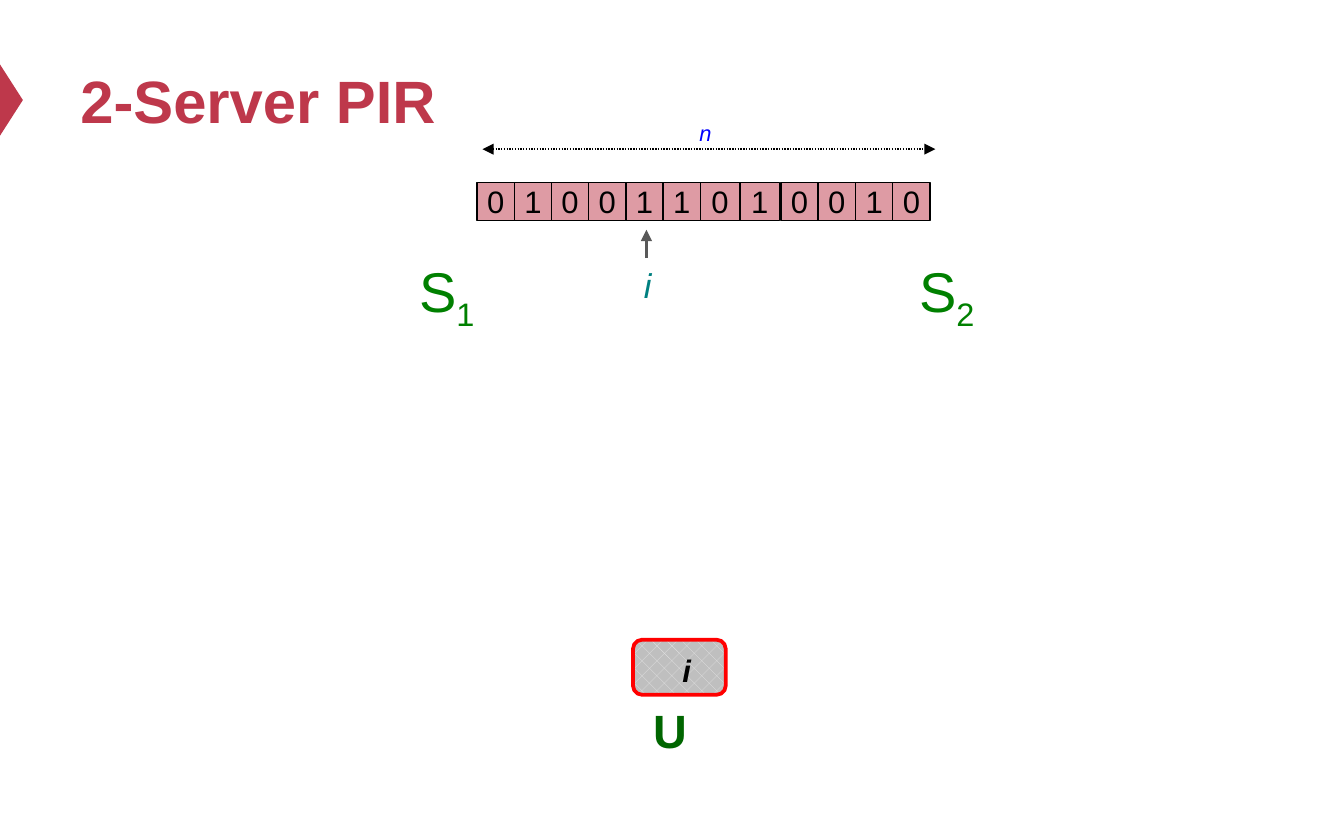
from lxml import etree
from pptx import Presentation
from pptx.dml.color import RGBColor
from pptx.enum import dml, shapes, text
from pptx.oxml.ns import qn
from pptx.util import Inches, Pt

CRIMSON = RGBColor(0xBE, 0x38, 0x4B)
BLACK = RGBColor(0x00, 0x00, 0x00)
SERVER_GREEN = RGBColor(0x00, 0x80, 0x00)
USER_GREEN = RGBColor(0x00, 0x66, 0x00)
TEAL = RGBColor(0x00, 0x80, 0x80)
BLUE = RGBColor(0x00, 0x00, 0xFF)
RED = RGBColor(0xFF, 0x00, 0x00)
DARK_GREY = RGBColor(0x59, 0x59, 0x59)
GREY = RGBColor(0xBF, 0xBF, 0xBF)
PALE_GREY = RGBColor(0xE5, 0xE5, 0xE5)

LEFT, CENTER, RIGHT = text.PP_ALIGN.LEFT, text.PP_ALIGN.CENTER, text.PP_ALIGN.RIGHT

TITLE = "2-Server PIR"
# left edge, right edge, bits sharing that span equally
DATABASE = [(3.55, 5.21, "010011"), (5.21, 5.8, "01"), (5.81, 6.92, "0010")]
DATABASE_TOP, BIT_HEIGHT = 1.36, 0.28
# server number, left edge
SERVERS = [("1", 2.43), ("2", 6.15)]
# wording, box, alignment, size, colour, bold, italic
LABELS = [
    ("n", (4.85, 0.84, 0.8, 0.28), CENTER, 11.7, BLUE, False, True),
    ("i", (4.64, 1.92, 0.36, 0.36), CENTER, 18.4, TEAL, False, True),
    ("i", (4.81, 4.8, 0.6, 0.41), CENTER, 16.6, BLACK, True, True),
    ("U", (4.52, 5.17, 0.64, 0.43), RIGHT, 25, USER_GREEN, True, False),
]

prs = Presentation()
prs.slide_width, prs.slide_height = Inches(10), Inches(6.25)
slide = prs.slides.add_slide(prs.slide_layouts[6])


def style(paragraph, align, size, color, bold=False, italic=False):
    paragraph.alignment = align
    font = paragraph.font
    font.name, font.size, font.bold, font.italic = "Arial", Pt(size), bold, italic
    font.color.rgb = color


def add_label(wording, box, align, size, color, bold=False, italic=False, inset=0.05):
    frame = slide.shapes.add_textbox(*map(Inches, box)).text_frame
    frame.word_wrap = True
    frame.margin_left = frame.margin_right = Inches(inset)
    frame.margin_top = frame.margin_bottom = Inches(0.05)
    paragraph = frame.paragraphs[0]
    paragraph.add_run().text = wording
    style(paragraph, align, size, color, bold, italic)
    return frame


def add_block(preset, box):
    block = slide.shapes.add_shape(preset, *map(Inches, box))
    block.shadow.inherit = False
    return block


def add_arrow(start, end, color, width, ends, dash=None):
    arrow = slide.shapes.add_connector(
        shapes.MSO_CONNECTOR.STRAIGHT, *map(Inches, start + end))
    arrow.line.color.rgb, arrow.line.width = color, Pt(width)
    if dash:
        arrow.line.dash_style = dash
    for tag in ends:
        etree.SubElement(arrow.line._get_or_add_ln(), qn(tag), type="triangle")
    etree.SubElement(arrow._element.spPr, qn("a:effectLst"))


def add_bit(bit, left, width):
    cell = add_block(shapes.MSO_SHAPE.RECTANGLE, (left, DATABASE_TOP, width, BIT_HEIGHT))
    cell.fill.solid()
    cell.fill.fore_color.rgb = CRIMSON
    tint = cell._element.spPr.find(qn("a:solidFill"))[0]
    etree.SubElement(tint, qn("a:alpha"), val="50000")
    cell.line.color.rgb, cell.line.width = BLACK, Pt(0.75)
    frame = cell.text_frame
    frame.word_wrap = False
    frame.vertical_anchor = text.MSO_ANCHOR.MIDDLE
    frame.text = bit
    style(frame.paragraphs[0], CENTER, 16.6, BLACK)


marker = add_block(shapes.MSO_SHAPE.ISOSCELES_TRIANGLE, (-0.18, 0.66, 0.53, 0.17))
marker.rotation = 90
marker.fill.solid()
marker.fill.fore_color.rgb = CRIMSON
marker.line.fill.background()

title = add_label(TITLE, (0.5, 0.25, 9, 0.98), LEFT, 32, CRIMSON, bold=True, inset=0.1)
title.vertical_anchor = text.MSO_ANCHOR.MIDDLE

user_box = add_block(shapes.MSO_SHAPE.ROUNDED_RECTANGLE, (4.71, 4.76, 0.69, 0.41))
user_box.fill.patterned()
user_box.fill.pattern = dml.MSO_PATTERN.PERCENT_25
user_box.fill.fore_color.rgb, user_box.fill.back_color.rgb = PALE_GREY, GREY
user_box.line.color.rgb, user_box.line.width = RED, Pt(2)

for label in LABELS:
    add_label(*label)

for number, left in SERVERS:
    server = add_label("S", (left, 1.86, 1.15, 0.54), RIGHT, 30, SERVER_GREEN)
    subscript = server.paragraphs[0].add_run()
    subscript.text = number
    subscript.font._element.set("baseline", "-25000")

add_arrow((4.81, 1.92), (4.81, 1.71), DARK_GREY, 2, ["a:tailEnd"])
add_arrow((3.59, 1.11), (6.96, 1.11), BLACK, 0.75, ["a:headEnd", "a:tailEnd"],
          dml.MSO_LINE.ROUND_DOT)

for left, right, bits in DATABASE:
    width = (right - left) / len(bits)
    for place, bit in enumerate(bits):
        add_bit(bit, left + place * width, width)

prs.save("out.pptx")
